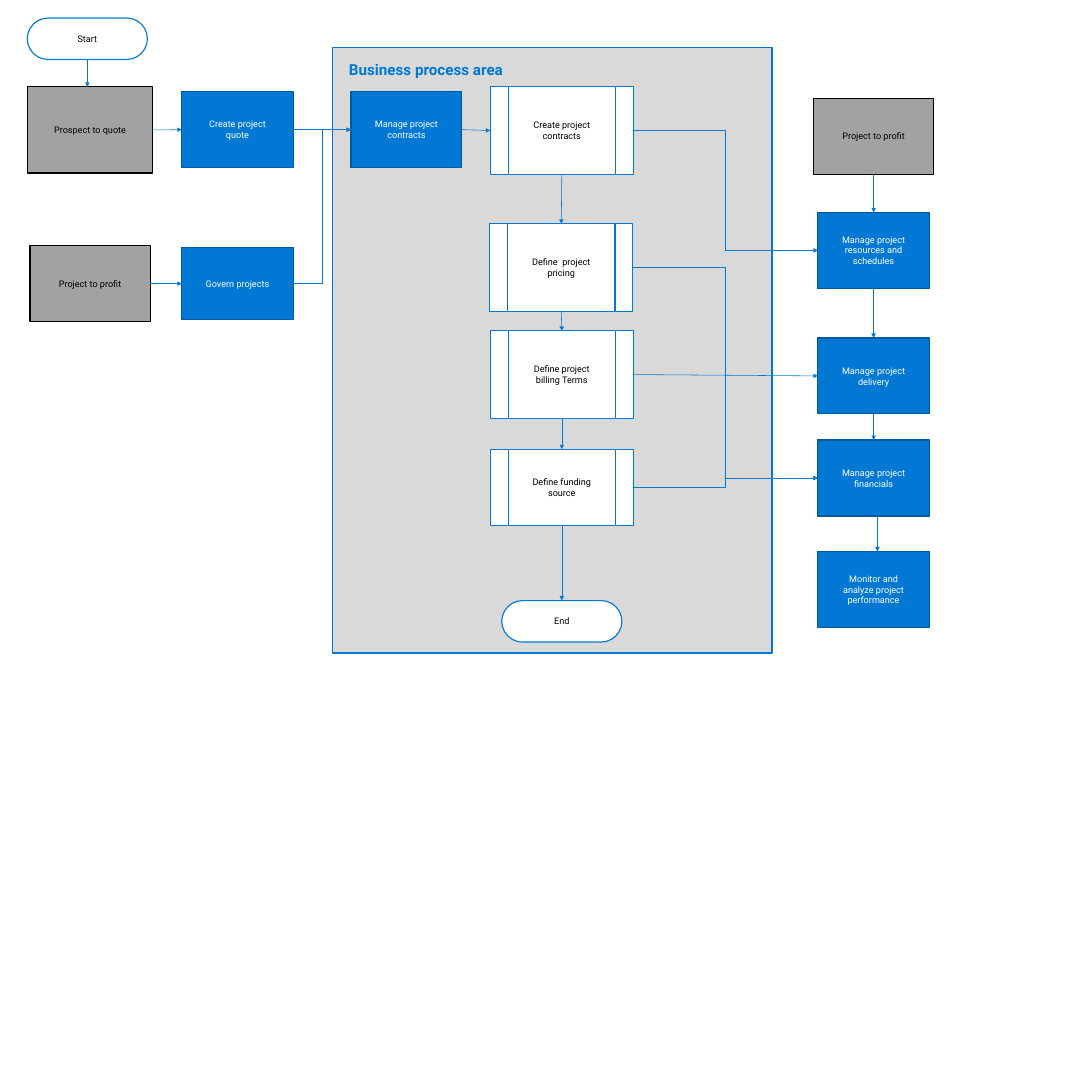
from lxml import etree
from pptx import Presentation, util as u
from pptx.dml import color
from pptx.enum import shapes, text
from pptx.oxml import ns

BLUE, NAVY, GRAY, PALE = "0078D4", "00599D", "A2A2A2", "D9D9D9"
BLACK, WHITE = "000000", "FFFFFF"
RECT = shapes.MSO_SHAPE.RECTANGLE
PILL = shapes.MSO_SHAPE.ROUNDED_RECTANGLE
STEP = shapes.MSO_SHAPE.FLOWCHART_PREDEFINED_PROCESS


def rgb(hue):
    """Turn a hex string into a colour."""
    return color.RGBColor.from_string(hue)


def write(shape, words, size=12, hue=BLACK, bold=False,
          align=text.PP_ALIGN.CENTER, anchor=text.MSO_ANCHOR.MIDDLE):
    """Put formatted words into a shape."""
    frame = shape.text_frame
    frame.word_wrap = True
    frame.auto_size = text.MSO_AUTO_SIZE.NONE
    frame.vertical_anchor = anchor
    frame.margin_left = frame.margin_right = u.Inches(0.3)
    frame.margin_top = frame.margin_bottom = u.Inches(0.24)
    para = frame.paragraphs[0]
    para.alignment = align
    run = para.add_run()
    run.text = words
    font = run.font
    font.name, font.size, font.bold = "Roboto", u.Pt(size), bold
    font.color.rgb = rgb(hue)


def paint(shape, fill, line):
    """Set the fill and the outline of a shape."""
    if fill:
        shape.fill.solid()
        shape.fill.fore_color.rgb = rgb(fill)
    else:
        shape.fill.background()
    shape.line.color.rgb = rgb(line)
    shape.line.width = u.Pt(1.5)


def node(slide, words, x, y, w, h, kind=RECT, fill=WHITE, line=BLUE, hue=BLACK):
    """Add one labelled box of the flow."""
    shape = slide.shapes.add_shape(kind, *map(u.Inches, (x, y, w, h)))
    shape.shadow.inherit = False
    if kind == PILL:
        shape.adjustments[0] = 0.5
    paint(shape, fill, line)
    write(shape, words, hue=hue)
    return shape


def task(slide, words, x, y, w=2.04, h=1.39):
    """Add a blue box."""
    return node(slide, words, x, y, w, h, fill=BLUE, line=NAVY, hue=WHITE)


def stage(slide, words, x, y, w=2.2, h=1.39):
    """Add a gray box."""
    return node(slide, words, x, y, w, h, fill=GRAY, line=BLACK)


def link(slide, a, b, down=False, bent=False, x=None, width=0.75):
    """Draw an arrow between two boxes, glued unless x fixes its column."""
    kind = shapes.MSO_CONNECTOR.ELBOW if bent else shapes.MSO_CONNECTOR.STRAIGHT
    col = u.Inches(x or 0)
    line = slide.shapes.add_connector(kind, col, a.top + a.height, col, b.top)
    if x is None:
        line.begin_connect(a, 2 if down else 3)
        line.end_connect(b, 0 if down else 1)
    line.line.color.rgb = rgb(BLUE)
    line.line.width = u.Pt(width)
    tip = etree.SubElement(line.line._get_or_add_ln(), ns.qn("a:tailEnd"))
    tip.set("type", "triangle")
    etree.SubElement(line._element.spPr, ns.qn("a:effectLst"))


def chain(slide, nodes):
    """Link boxes from top to bottom."""
    for a, b in zip(nodes, nodes[1:]):
        link(slide, a, b, down=True)


def entry(slide, x, y):
    """Build the inputs on the left and return the two feeding boxes."""
    start = node(slide, "Start", x, y, 2.2, 0.76, PILL, fill=None)
    lead = stage(slide, "Prospect to quote", x, y + 1.26, 2.3, 1.58)
    profit = stage(slide, "Project to profit", x + 0.05, y + 4.17)
    quote = task(slide, "Create project quote", x + 2.83, y + 1.35)
    govern = task(slide, "Govern projects", x + 2.83, y + 4.21, h=1.31)
    link(slide, start, lead, x=x + 1.1, width=1.5)
    link(slide, lead, quote)
    link(slide, profit, govern)
    return quote, govern


def area(slide, x, y, w, h):
    """Build the process area and return its first box and its steps."""
    panel = slide.shapes.title
    panel.left, panel.top, panel.width, panel.height = map(u.Inches, (x, y, w, h))
    paint(panel, PALE, BLUE)
    write(panel, "Business process area", size=20, hue=BLUE, bold=True,
          align=text.PP_ALIGN.LEFT, anchor=text.MSO_ANCHOR.TOP)
    first = task(slide, "Manage project contracts", x + 0.34, y + 0.81, 2.03)
    rows = [("Create project contracts", 2.89, 0.72, 1.6),
            ("Define  project pricing", 2.88, 3.23, 1.6),
            ("Define project billing Terms", 2.89, 5.19, 1.6),
            ("Define funding source", 2.89, 7.36, 1.39)]
    steps = [node(slide, words, x + dx, y + dy, 2.62, tall, STEP)
             for words, dx, dy, tall in rows]
    end = node(slide, "End", x + 3.1, y + 10.13, 2.2, 0.76, PILL)
    link(slide, first, steps[0])
    chain(slide, steps + [end])
    return first, steps


def result(slide, x, y):
    """Build the column on the right and return its blue boxes."""
    top = stage(slide, "Project to profit", x, y)
    rows = [("Manage project resources and schedules", 2.09),
            ("Manage project delivery", 4.39),
            ("Manage project financials", 6.26),
            ("Monitor and analyze project performance", 8.3)]
    tasks = [task(slide, words, x + 0.08, y + dy) for words, dy in rows]
    chain(slide, [top] + tasks[:3])
    link(slide, tasks[2], tasks[3], x=x + 1.17)
    return tasks


def main():
    """Build and save the slide."""
    deck = Presentation()
    deck.slide_width = deck.slide_height = u.Inches(20)
    slide = deck.slides.add_slide(deck.slide_layouts[5])
    first, steps = area(slide, 6.09, 0.87, 8.05, 11.09)
    quote, govern = entry(slide, 0.5, 0.33)
    plan, ship, funds, _ = result(slide, 14.9, 1.8)
    link(slide, quote, first)
    link(slide, govern, first, bent=True)
    for step, goal in zip(steps, (plan, funds, ship, funds)):
        link(slide, step, goal, bent=goal is not ship)
    deck.save("out.pptx")


if __name__ == "__main__":
    main()
